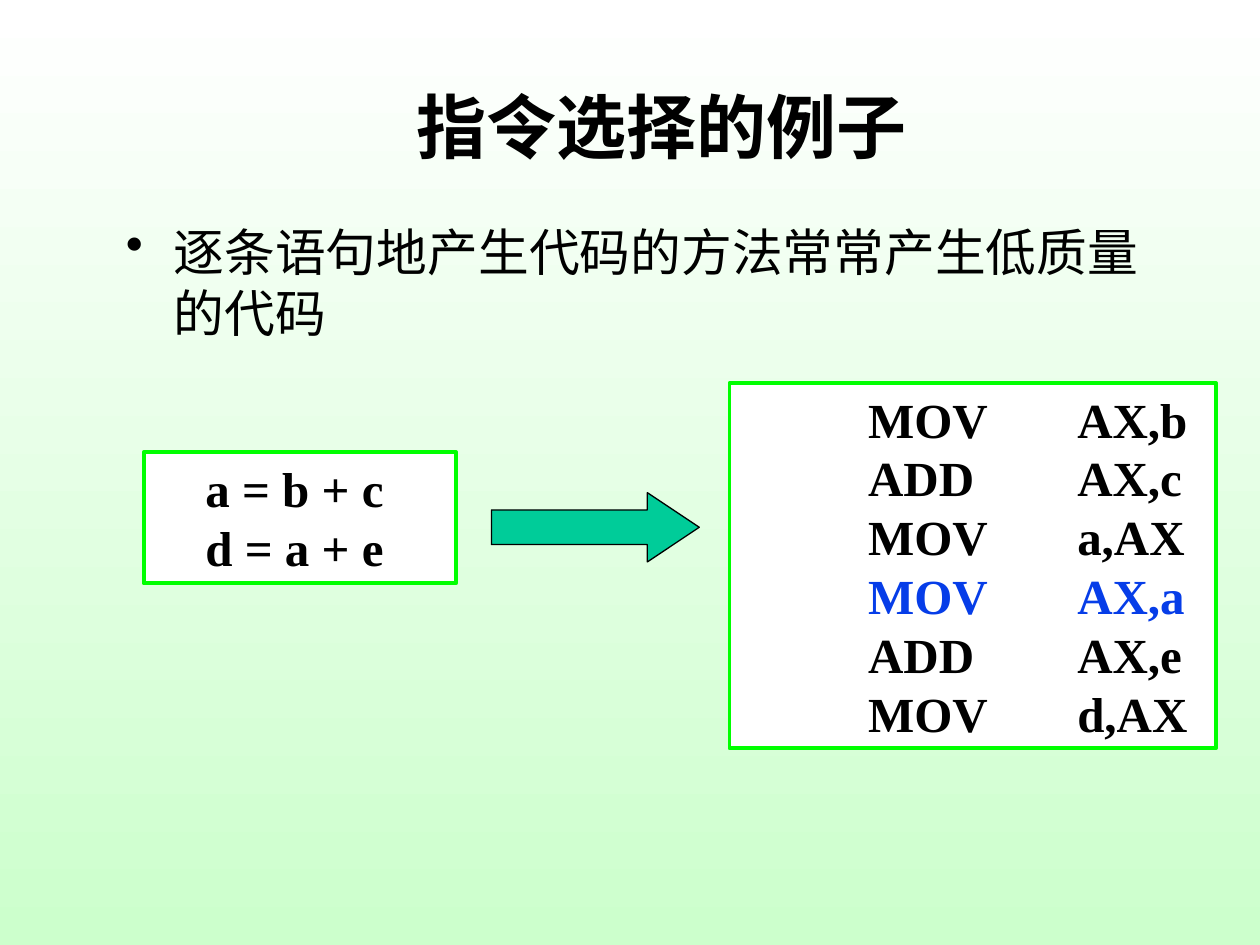
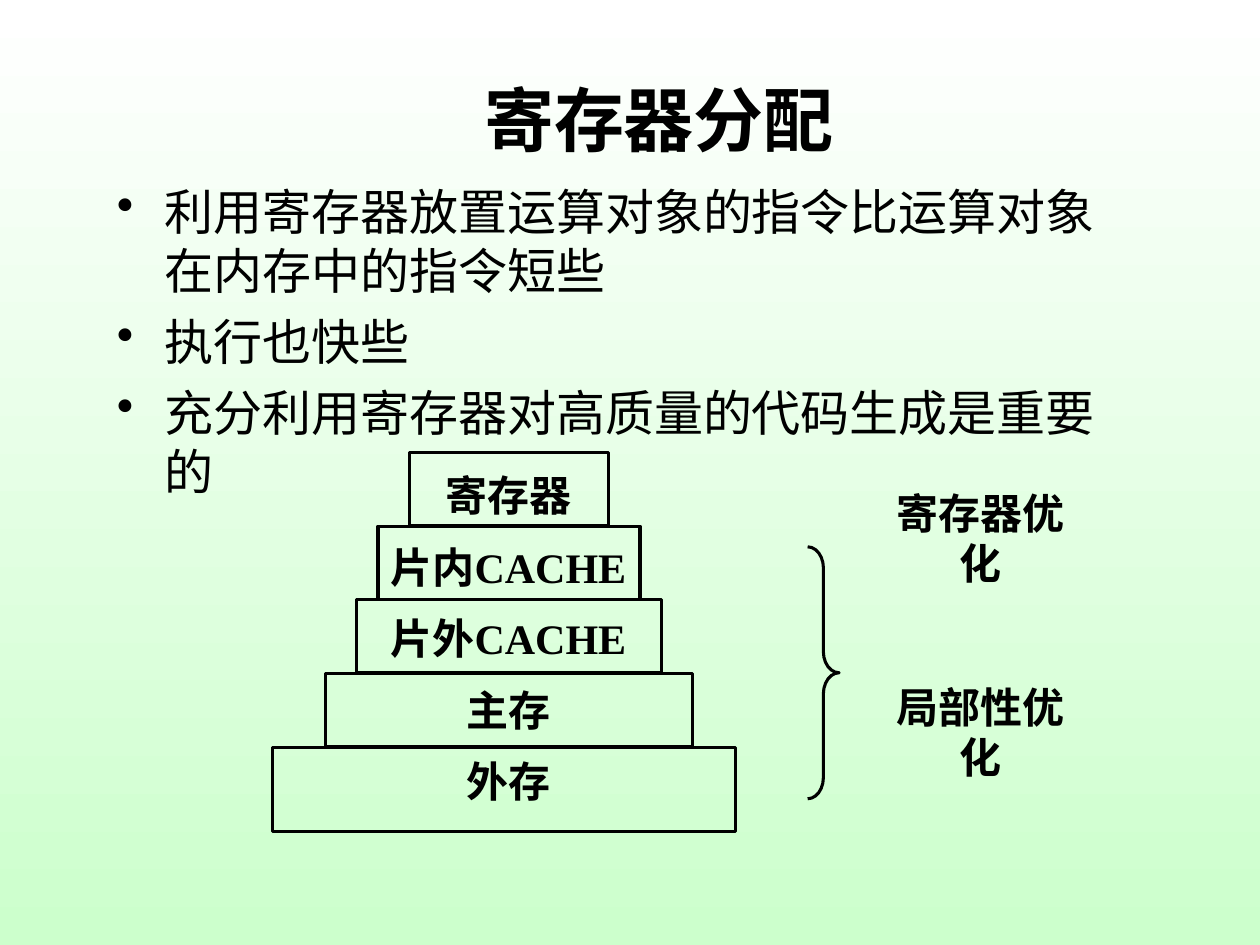
"""Build two slides on instruction selection and register allocation."""
from dataclasses import dataclass
from typing import NamedTuple

from lxml import etree
from pptx import Presentation
from pptx.dml.color import RGBColor
from pptx.enum.lang import MSO_LANGUAGE_ID
from pptx.enum.shapes import MSO_SHAPE
from pptx.enum.text import MSO_ANCHOR, PP_ALIGN
from pptx.oxml.ns import qn
from pptx.util import Inches, Pt

FONT = "Times New Roman"
BLACK, WHITE, PALE_GREEN = "000000", "FFFFFF", "CCFFCC"
FRAME_GREEN, ARROW_GREEN, BLUE = "00FF00", "00CC99", "063DE8"
TIER_TOP, TIER_STEP = 3.59, 0.585


class Box(NamedTuple):
    left: float
    top: float
    width: float
    height: float

    def lengths(self) -> list:
        return [Inches(v) for v in self]


@dataclass
class Code:
    box: Box
    inset: float
    lines: list[str]
    marked: int = -1


@dataclass
class Tier:
    center: float
    width: float
    height: float = 0.58


def rgb(color: str) -> RGBColor:
    return RGBColor.from_string(color)


def format_runs(p, size: float, color: str = BLACK, bold: bool = True) -> None:
    for r in p.runs:
        font = r.font
        font.name, font.size, font.bold = FONT, Pt(size), bold
        font.color.rgb = rgb(color)
        font.language_id = MSO_LANGUAGE_ID.SIMPLIFIED_CHINESE


def add_tab(p, position: float) -> None:
    tabs = etree.SubElement(p._p.get_or_add_pPr(), qn("a:tabLst"))
    etree.SubElement(tabs, qn("a:tab"), pos=str(Inches(position)), algn="l")


def add_bullet(p) -> None:
    pPr = p._p.get_or_add_pPr()
    pPr.set("marL", str(Inches(0.38)))
    pPr.set("indent", str(Inches(-0.38)))
    etree.SubElement(pPr, qn("a:buChar"), char="•")


def add_figure(slide, kind, box: Box, line: str, weight: float, fill: str = ""):
    sp = slide.shapes.add_shape(kind, *box.lengths())
    sp.shadow.inherit = False
    if fill:
        sp.fill.solid()
        sp.fill.fore_color.rgb = rgb(fill)
    else:
        sp.fill.background()
    sp.line.color.rgb = rgb(line)
    sp.line.width = Pt(weight)
    return sp


def add_titled_slide(prs, title: str, left: float, top: float):
    slide = prs.slides.add_slide(prs.slide_layouts[5])
    sp = slide.shapes.title
    sp.left, sp.top, sp.width, sp.height = Box(left, top, 8.5, 1).lengths()
    tf = sp.text_frame
    tf.text = title
    tf.vertical_anchor = MSO_ANCHOR.MIDDLE
    tf.paragraphs[0].alignment = PP_ALIGN.CENTER
    format_runs(tf.paragraphs[0], 40)
    return slide


def add_bullets(slide, box: Box, size: float, items: list[str]) -> None:
    tf = slide.shapes.add_textbox(*box.lengths()).text_frame
    tf.word_wrap = True
    tf.text = "\n".join(items)
    for i, p in enumerate(tf.paragraphs):
        if i:
            p.space_before = Pt(7)
        add_bullet(p)
        format_runs(p, size, bold=False)


def add_labels(slide, box: Box, labels: list[str], gap: float) -> None:
    tf = slide.shapes.add_textbox(*box.lengths()).text_frame
    tf.word_wrap = False
    tf.text = "\n".join(labels)
    for i, p in enumerate(tf.paragraphs):
        p.alignment = PP_ALIGN.CENTER
        if i:
            p.space_before = Pt(gap)
        p.space_after = Pt(6)
        format_runs(p, 24)


def add_code(slide, code: Code) -> None:
    sp = add_figure(slide, MSO_SHAPE.RECTANGLE, code.box, FRAME_GREEN, 2.25, WHITE)
    tf = sp.text_frame
    tf.margin_left = Inches(code.inset)
    tf.vertical_anchor = MSO_ANCHOR.TOP
    tf.text = "\n".join(code.lines)
    for i, p in enumerate(tf.paragraphs):
        p.alignment = PP_ALIGN.LEFT
        p.line_spacing = Pt(33.6)
        if "\t" in code.lines[i]:
            add_tab(p, 1.66)
        format_runs(p, 28, BLUE if i == code.marked else BLACK)


def set_background(prs) -> None:
    fill = prs.slide_master.background.fill
    fill.gradient()
    fill.gradient_angle = 270
    for stop, color, position in zip(fill.gradient_stops, (WHITE, PALE_GREEN), (0, 1)):
        stop.color.rgb = rgb(color)
        stop.position = position


def build_selection(prs) -> None:
    slide = add_titled_slide(prs, "指令选择的例子", 1, 0.5)
    assembly = ["MOV\tAX,b", "ADD\tAX,c", "MOV\ta,AX",
                "MOV\tAX,a", "ADD\tAX,e", "MOV\td,AX"]
    add_code(slide, Code(Box(1.14, 3.59, 2.48, 1.04), 0.49, ["a = b + c", "d = a + e"]))
    add_code(slide, Code(Box(5.79, 3.04, 3.86, 2.9), 1.1, assembly, marked=3))
    add_bullets(slide, Box(0.9, 1.7, 8.5, 1.27), 29,
                ["逐条语句地产生代码的方法常常产生低质量的代码"])
    arrow = add_figure(slide, MSO_SHAPE.RIGHT_ARROW, Box(3.9, 3.91, 1.65, 0.55),
                       BLACK, 0.75, ARROW_GREEN)
    arrow.adjustments[0], arrow.adjustments[1] = 0.5, 0.75


def build_allocation(prs) -> None:
    slide = add_titled_slide(prs, "寄存器分配", 0.98, 0.44)
    add_bullets(slide, Box(0.83, 1.39, 8.27, 5.17), 28,
                ["利用寄存器放置运算对象的指令比运算对象在内存中的指令短些",
                 "执行也快些",
                 "充分利用寄存器对高质量的代码生成是重要的"])
    add_labels(slide, Box(2.96, 3.68, 2.15, 2.77),
               ["寄存器", "片内CACHE", "片外CACHE", "主存", "外存"], 6)
    tiers = [Tier(4.04, 1.58), Tier(4.04, 2.08), Tier(4.04, 2.42),
             Tier(4.04, 2.92), Tier(4, 3.67, 0.67)]
    for i, tier in enumerate(tiers):
        box = Box(tier.center - tier.width / 2, TIER_TOP + i * TIER_STEP,
                  tier.width, tier.height)
        add_figure(slide, MSO_SHAPE.RECTANGLE, box, BLACK, 1.75)
    add_labels(slide, Box(6.85, 3.82, 1.86, 2.2), ["寄存器优化", "局部性优化"], 47)
    brace = add_figure(slide, MSO_SHAPE.RIGHT_BRACE, Box(6.41, 4.34, 0.25, 2), BLACK, 1.75)
    brace.adjustments[0], brace.adjustments[1] = 0.67, 0.5


def main() -> None:
    prs = Presentation()
    prs.slide_width, prs.slide_height = Inches(10), Inches(7.5)
    set_background(prs)
    build_selection(prs)
    build_allocation(prs)
    prs.save("out.pptx")


if __name__ == "__main__":
    main()
